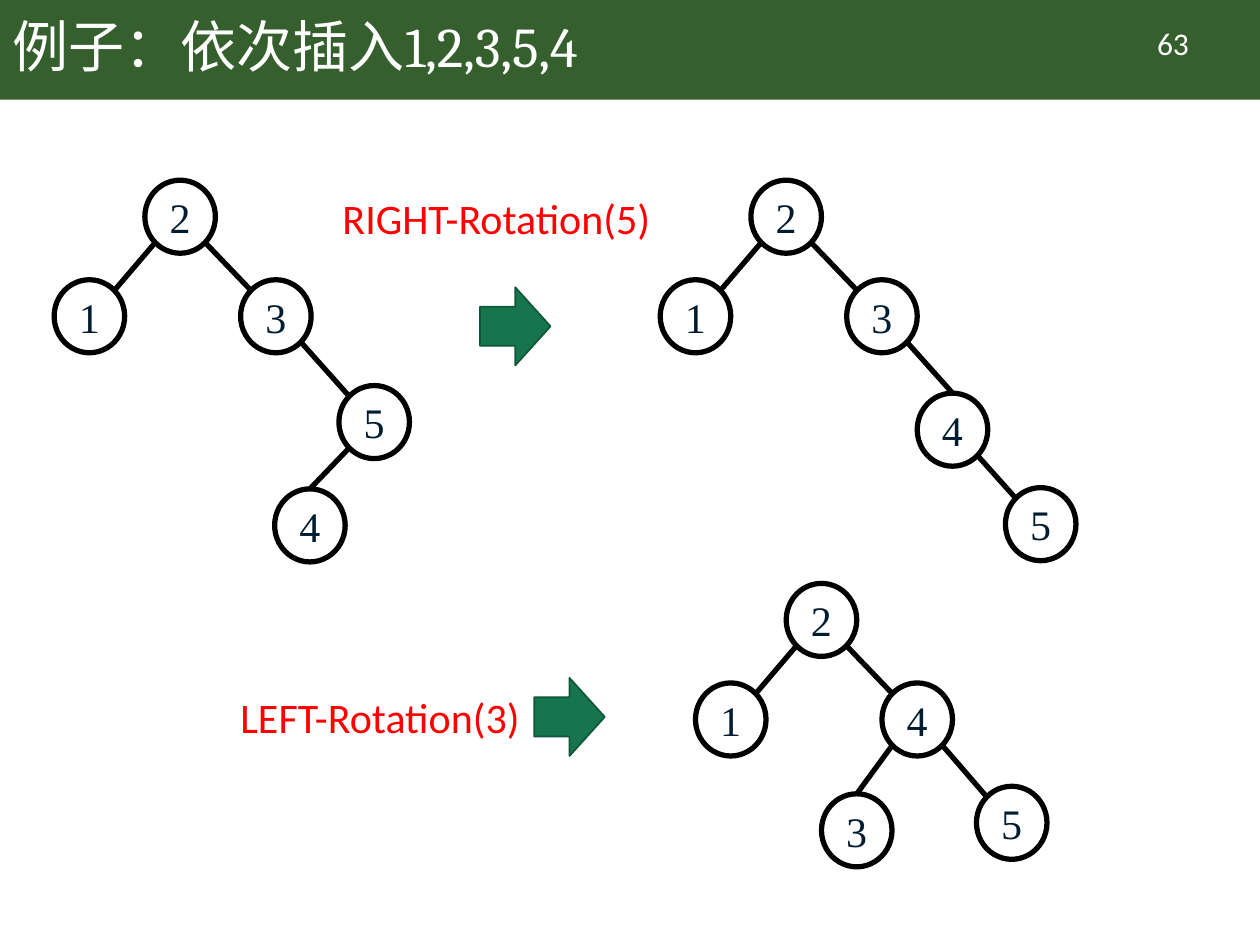
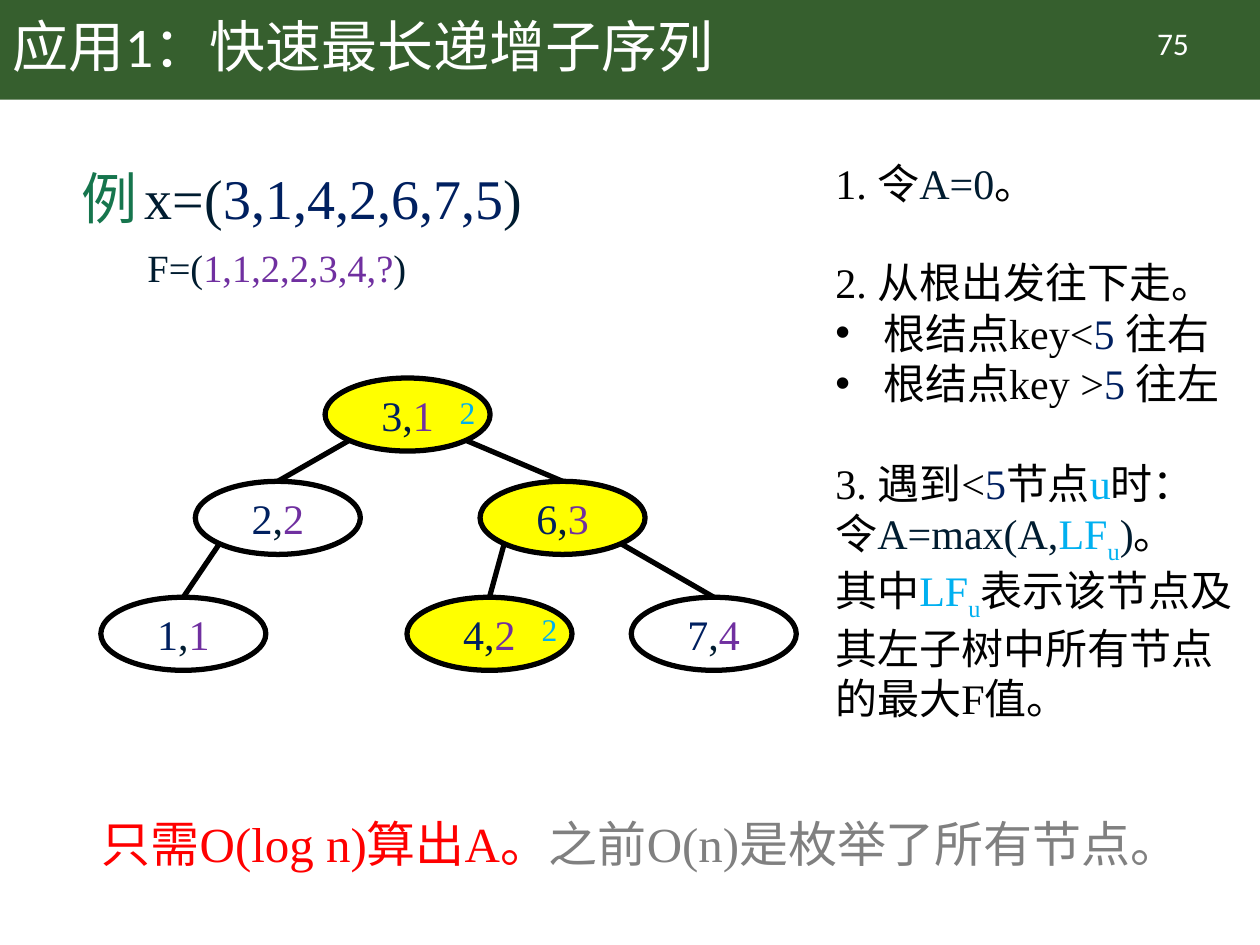
from math import sqrt

from lxml import etree
from pptx import Presentation
from pptx.dml.color import RGBColor
from pptx.enum.shapes import MSO_CONNECTOR, MSO_SHAPE
from pptx.enum.text import MSO_ANCHOR, MSO_AUTO_SIZE, PP_ALIGN
from pptx.oxml.ns import qn
from pptx.util import Inches, Pt

RECTANGLE, ELLIPSE, ARROW = MSO_SHAPE.RECTANGLE, MSO_SHAPE.OVAL, MSO_SHAPE.RIGHT_ARROW
STRAIGHT = MSO_CONNECTOR.STRAIGHT
TOP, MIDDLE = MSO_ANCHOR.TOP, MSO_ANCHOR.MIDDLE
LEFT, CENTER = PP_ALIGN.LEFT, PP_ALIGN.CENTER
NO_AUTOFIT = MSO_AUTO_SIZE.NONE

COLUMNS, ROWS = 100, 75
CELL = Inches(0.1)
BAND_ROWS, NODE_ROWS = 7.9, 5.8
ARROW_SIZE = (5.6, 6.2)

WHITE, BLACK, INK, NAVY = "FFFFFF", "000000", "001C30", "002060"
BAND, GREEN, DARK_GREEN = "365F2E", "16754D", "105739"
RED, PURPLE, CYAN, YELLOW, GREY = "FF0000", "7030A0", "00B0F0", "FFFF00", "808080"
SERIF, SANS, TITLE_SERIF = "Times New Roman", "Calibri", "Cambria"

PLAIN_FRAME = {"word_wrap": True, "auto_size": NO_AUTOFIT, "vertical_anchor": TOP}
TITLE_FRAME = {**PLAIN_FRAME, "vertical_anchor": MIDDLE}
UNWRAPPED_FRAME = {**PLAIN_FRAME, "word_wrap": False}
NODE_FRAME = {**TITLE_FRAME, "margin_left": 0, "margin_right": 0,
              "margin_top": 0, "margin_bottom": 0}
LEFT_ALIGNED = {"alignment": LEFT, "space_before": Pt(0)}
CENTERED = {"alignment": CENTER}
TIGHT = {**LEFT_ALIGNED, "line_spacing": 0.9}
STEP_GAP = {**LEFT_ALIGNED, "space_before": Pt(28)}

ROTATION_TREES = [
    {"origin": (11.5, 14.3),
     "nodes": {"2": (0, 0), "1": (-7.2, 7.9), "3": (7.6, 7.9),
               "5": (15.4, 16.3), "4": (10.3, 24.5)},
     "edges": ["21", "23", "35", "54"], "top_joined": "4"},
    {"origin": (59.6, 14.3),
     "nodes": {"2": (0, 0), "1": (-7.2, 7.9), "3": (7.6, 7.9),
               "4": (13.2, 16.9), "5": (20.2, 24.4)},
     "edges": ["21", "23", "34", "45"], "top_joined": "4"},
    {"origin": (62.4, 46.3),
     "nodes": {"2": (0, 0), "1": (-7.2, 7.9), "4": (7.6, 7.9),
               "3": (2.8, 16.7), "5": (15.1, 16.1)},
     "edges": ["21", "24", "43", "45"], "top_joined": "3"},
]
ROTATION_STEPS = [
    ("RIGHT-Rotation(5)", (26.2, 14.8, 26.4, 5), (38.1, 22.8)),
    ("LEFT-Rotation(3)", (18.1, 54.4, 24.4, 5), (42.4, 53.8)),
]
SEQUENCE_NODES = {"3": (25.8, 30), "2": (15.5, 38.2), "6": (38.1, 38.2),
                  "1": (8, 47.4), "4": (32.3, 47.4), "7": (50.1, 47.4)}
SEQUENCE_LENGTHS = {"3": "1", "2": "2", "6": "3", "1": "1", "4": "2", "7": "4"}
SEQUENCE_EDGES = ["32", "21", "36", "67", "64"]
VISITED_NODES = "364"
LEFT_MAXIMA = [(35.5, 30.7), (42, 47.9)]

INTRODUCTION = [
    ([("例\t", GREEN), ("x=(", INK), ("3,1,4,2,6,7,5", NAVY), (")", INK)],
     TIGHT, {"tab": 8.5}),
    ([("F=(", INK), ("1,1,2,2,3,4,?", PURPLE), (")", INK)],
     {**TIGHT, "space_before": Pt(10)}, {"left": 5.2}),
]
BULLET = {"left": 3.8, "hanging": 3.8, "bullet": "•"}
STEPS = [
    ([("1. 令", BLACK), ("A=0", INK), ("。", BLACK)], LEFT_ALIGNED, {}),
    ([("2. 从根出发往下走。", BLACK)], STEP_GAP, {}),
    ([("根结点key<", BLACK), ("5 ", NAVY), ("往右", BLACK)], LEFT_ALIGNED, BULLET),
    ([("根结点key >", BLACK), ("5 ", NAVY), ("往左", BLACK)], LEFT_ALIGNED, BULLET),
    ([("3. 遇到<", BLACK), ("5", NAVY), ("节点", BLACK), ("u", CYAN),
      ("时： 令", BLACK), ("A=max(A,", INK), ("LF", CYAN), ("u", CYAN, -25000),
      (")", INK), ("。", BLACK)], STEP_GAP, {}),
    ([("其中", BLACK), ("LF", CYAN), ("u", CYAN, -25000),
      ("表示该节点及其左子树中所有节点的最大F值。", BLACK)], LEFT_ALIGNED, {}),
]
CONCLUSION = [("只需O(log n)算出A。", RED), ("之前O(n)是枚举了所有节点。", GREY)]


def color(value):
    """Turn a hex string into a colour."""
    return RGBColor.from_string(value)


def grid(*cells):
    """Turn grid cells into lengths."""
    return [round(cell * CELL) for cell in cells]


def set_format(target, formats):
    """Set every attribute named in the formats."""
    for name, value in formats.items():
        setattr(target, name, value)


def set_indent(paragraph, left=0, hanging=0, bullet=None, tab=None):
    """Give a paragraph its indent, bullet and tab stop."""
    properties = paragraph._p.get_or_add_pPr()
    properties.set("marL", str(grid(left)[0]))
    properties.set("indent", str(-grid(hanging)[0]))
    if bullet:
        font = etree.SubElement(properties, qn("a:buFont"))
        font.set("typeface", "Arial")
        etree.SubElement(properties, qn("a:buChar")).set("char", bullet)
    else:
        etree.SubElement(properties, qn("a:buNone"))
    if tab:
        stops = etree.SubElement(properties, qn("a:tabLst"))
        stop = etree.SubElement(stops, qn("a:tab"))
        stop.set("pos", str(grid(tab)[0]))
        stop.set("algn", "l")


def write_runs(paragraph, runs, font, size, formats):
    """Fill a paragraph with coloured runs."""
    set_format(paragraph, formats)
    for text, run_color, *baseline in runs:
        run = paragraph.add_run()
        run.text = text
        set_format(run.font, {"name": font, "size": Pt(size)})
        run.font.color.rgb = color(run_color)
        if baseline:
            run._r.get_or_add_rPr().set("baseline", str(baseline[0]))


def write_line(shape, runs, font, size, frame=PLAIN_FRAME, formats=LEFT_ALIGNED):
    """Write one paragraph into a shape."""
    set_format(shape.text_frame, frame)
    write_runs(shape.text_frame.paragraphs[0], runs, font, size, formats)


def add_label(slide, box, runs, font, size, **options):
    """Add a text box of one paragraph."""
    write_line(slide.shapes.add_textbox(*grid(*box)), runs, font, size, **options)


def fill_body(placeholder, box, paragraphs, sizes):
    """Move a body placeholder and write its paragraphs."""
    set_format(placeholder, dict(zip(("left", "top", "width", "height"), grid(*box))))
    frame = placeholder.text_frame
    set_format(frame, PLAIN_FRAME)
    for index, ((runs, formats, indent), size) in enumerate(zip(paragraphs, sizes)):
        paragraph = frame.add_paragraph() if index else frame.paragraphs[0]
        set_indent(paragraph, **indent)
        write_runs(paragraph, runs, SERIF, size, formats)


def add_shape(shapes, kind, box, fill, line=None, width=0):
    """Add a preset shape without a shadow."""
    shape = shapes.add_shape(kind, *grid(*box))
    shape.shadow.inherit = False
    if fill:
        shape.fill.solid()
        shape.fill.fore_color.rgb = color(fill)
    else:
        shape.fill.background()
    if line:
        shape.line.color.rgb = color(line)
        shape.line.width = Pt(width)
    else:
        shape.line.fill.background()
    return shape


def add_node(shapes, box, runs, fill=None):
    """Add an outlined tree node."""
    node = add_shape(shapes, ELLIPSE, box, fill, BLACK, 3)
    write_line(node, runs, SERIF, 24, NODE_FRAME, CENTERED)


def add_edge(shapes, parent, child, width, top_joined):
    """Join a parent's lower diagonal to its child's top or upper diagonal."""
    side = 1 if child[0] > parent[0] else -1
    across, down = width / 2 / sqrt(2), NODE_ROWS / 2 / sqrt(2)
    middle, half = width / 2, NODE_ROWS / 2
    start = (parent[0] + middle + side * across, parent[1] + half + down)
    end = (child[0] + middle, child[1])
    if not top_joined:
        end = (end[0] - side * across, child[1] + half - down)
    edge = shapes.add_connector(STRAIGHT, *grid(*start, *end))
    edge.line.color.rgb = color(BLACK)
    edge.line.width = Pt(3)
    etree.SubElement(edge.element.spPr, qn("a:effectLst"))


def add_rotation_tree(slide, origin, nodes, edges, top_joined):
    """Add a grouped tree around its root's corner."""
    shapes = slide.shapes.add_group_shape().shapes
    width = 5.6
    places = {key: (origin[0] + x, origin[1] + y) for key, (x, y) in nodes.items()}
    for key, place in places.items():
        add_node(shapes, (*place, width, NODE_ROWS), [(key, INK)])
    for parent, child in edges:
        add_edge(shapes, places[parent], places[child], width, child in top_joined)


def add_sequence_tree(slide):
    """Add the tree of keys and subsequence lengths."""
    width = 13.1
    for key, place in SEQUENCE_NODES.items():
        runs = [(key, NAVY), (",", INK), (SEQUENCE_LENGTHS[key], PURPLE)]
        fill = YELLOW if key in VISITED_NODES else None
        add_node(slide.shapes, (*place, width, NODE_ROWS), runs, fill)
    for parent, child in SEQUENCE_EDGES:
        add_edge(slide.shapes, SEQUENCE_NODES[parent], SEQUENCE_NODES[child], width, True)
    for place in LEFT_MAXIMA:
        add_label(slide, (*place, 6.1, 4), [("2", CYAN)], SERIF, 18)


def add_master_band(presentation, slide):
    """Place the title band behind everything on the master."""
    band = add_shape(slide.shapes, RECTANGLE, (0, 0, COLUMNS, BAND_ROWS), BAND)
    presentation.slide_master.shapes.element.insert(2, band.element)


def add_titled_slide(presentation, layout, title, font, number):
    """Add a slide with its title and page number."""
    slide = presentation.slides.add_slide(presentation.slide_layouts[layout])
    box = grid(0, 0, 86.2, BAND_ROWS)
    set_format(slide.shapes.title, dict(zip(("left", "top", "width", "height"), box)))
    write_line(slide.shapes.title, [(title, WHITE)], font, 32, TITLE_FRAME, TIGHT)
    add_label(slide, (87.1, 1.4, 12, 4), [(number, WHITE)], SANS, 18, formats=CENTERED)
    return slide


def build_rotation_slide(presentation):
    """Build the slide of rotations after insertion."""
    slide = add_titled_slide(presentation, 5, "例子：依次插入1,2,3,5,4", TITLE_SERIF, "63")
    add_master_band(presentation, slide)
    for tree in ROTATION_TREES:
        add_rotation_tree(slide, **tree)
    for text, box, arrow in ROTATION_STEPS:
        add_label(slide, box, [(text, RED)], SANS, 24, frame=UNWRAPPED_FRAME)
        add_shape(slide.shapes, ARROW, (*arrow, *ARROW_SIZE), GREEN, DARK_GREEN, 1)


def build_sequence_slide(presentation):
    """Build the slide of the longest increasing subsequence."""
    slide = add_titled_slide(presentation, 3, "应用1：快速最长递增子序列", SANS, "75")
    introduction, steps = list(slide.placeholders)[1:]
    fill_body(introduction, (5.5, 13.1, 50.7, 14.6), INTRODUCTION, (32, 22))
    fill_body(steps, (65.3, 12, 34, 49.5), STEPS, [24] * len(STEPS))
    add_sequence_tree(slide)
    add_label(slide, (7.1, 64.1, 88.2, 5.7), CONCLUSION, SERIF, 28)


def main():
    """Build and save the presentation."""
    presentation = Presentation()
    presentation.slide_width, presentation.slide_height = grid(COLUMNS, ROWS)
    build_rotation_slide(presentation)
    build_sequence_slide(presentation)
    presentation.save("out.pptx")


if __name__ == "__main__":
    main()
